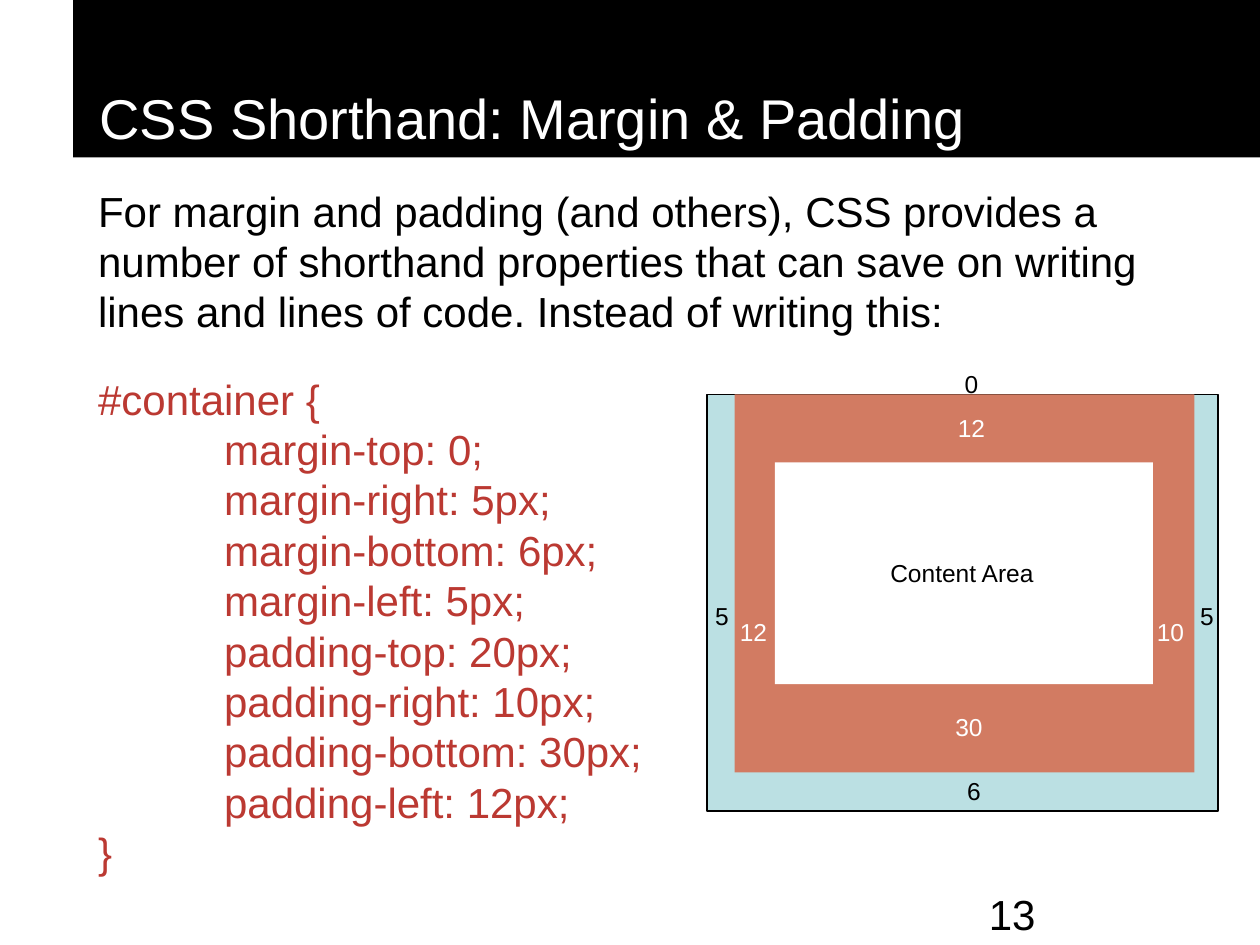
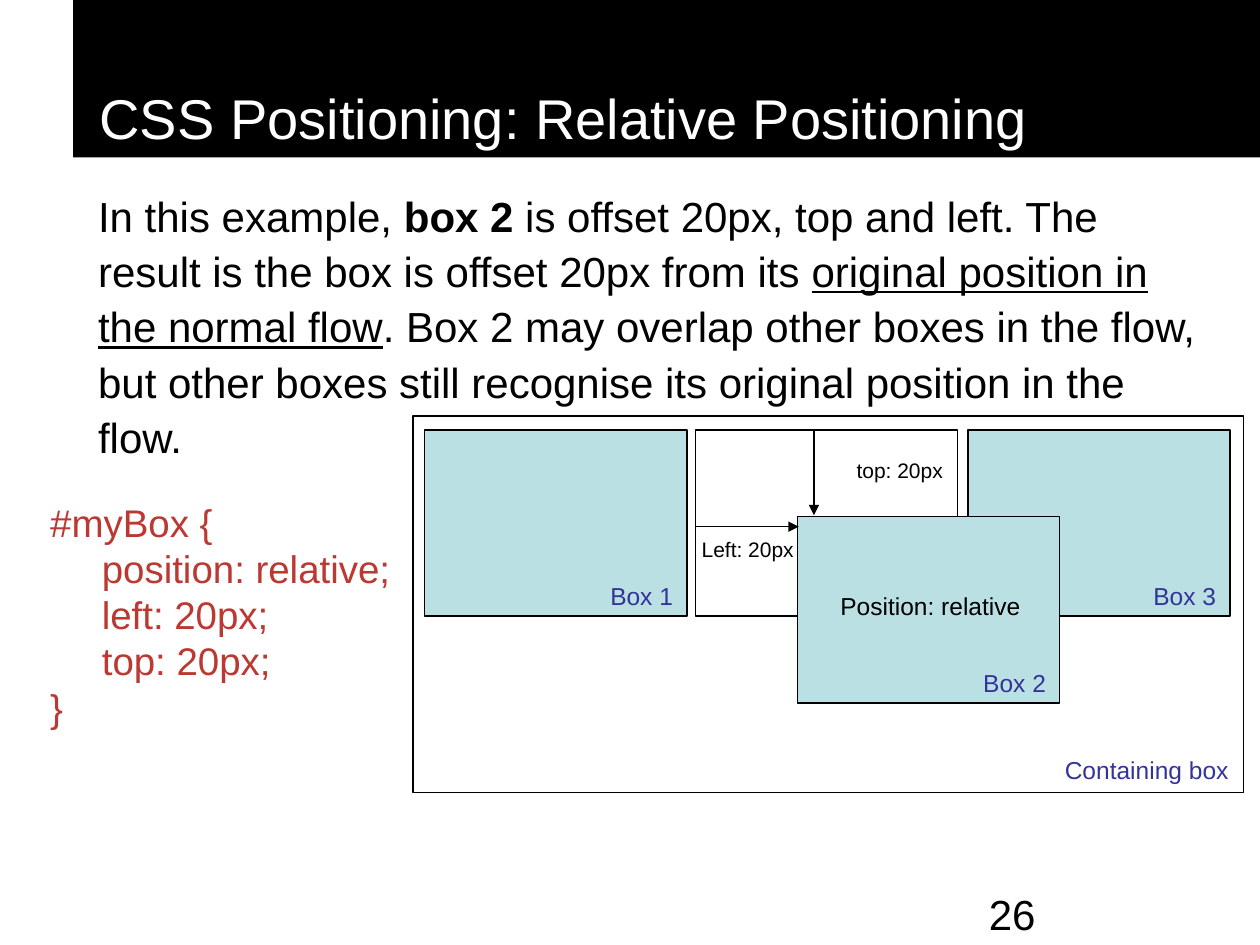
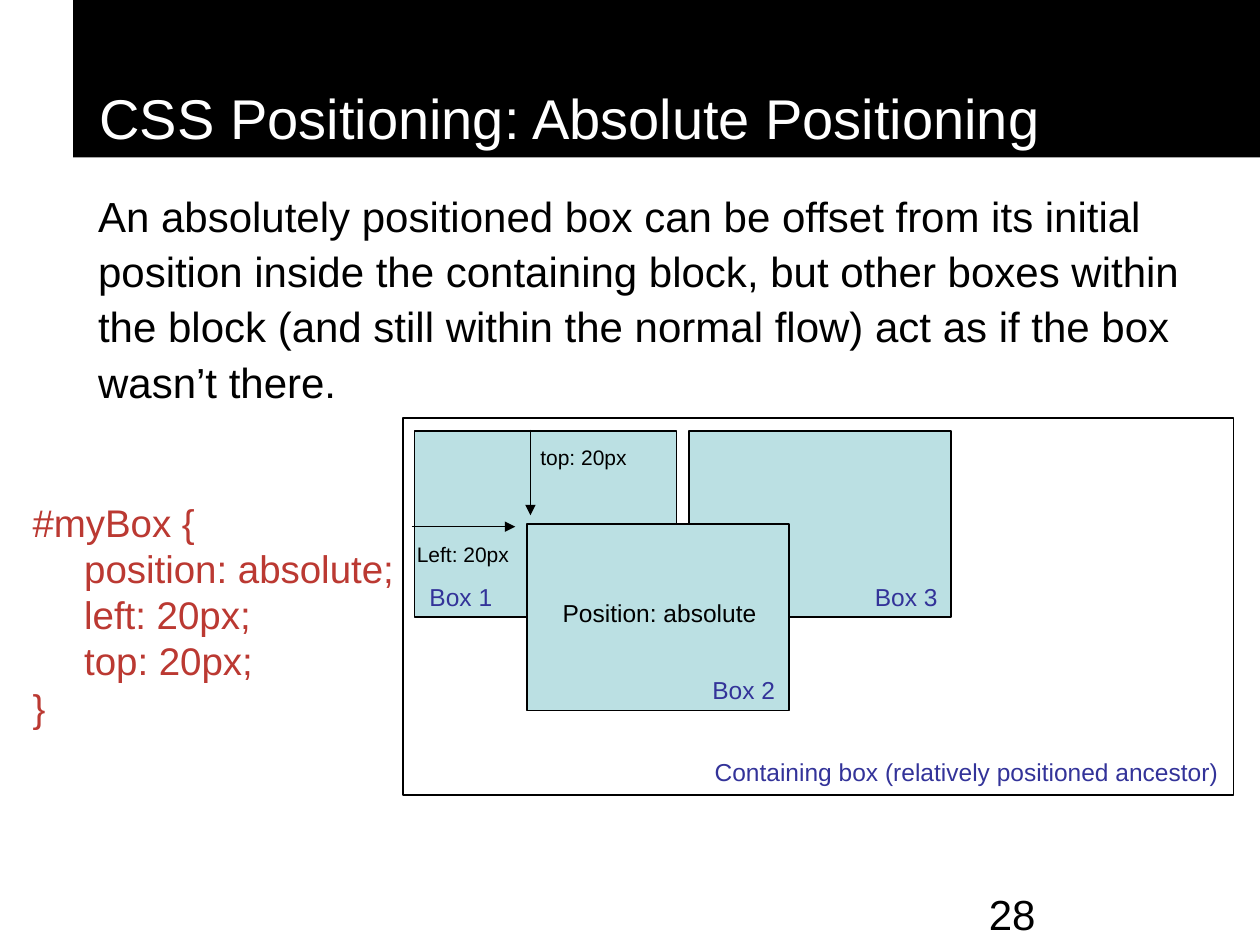
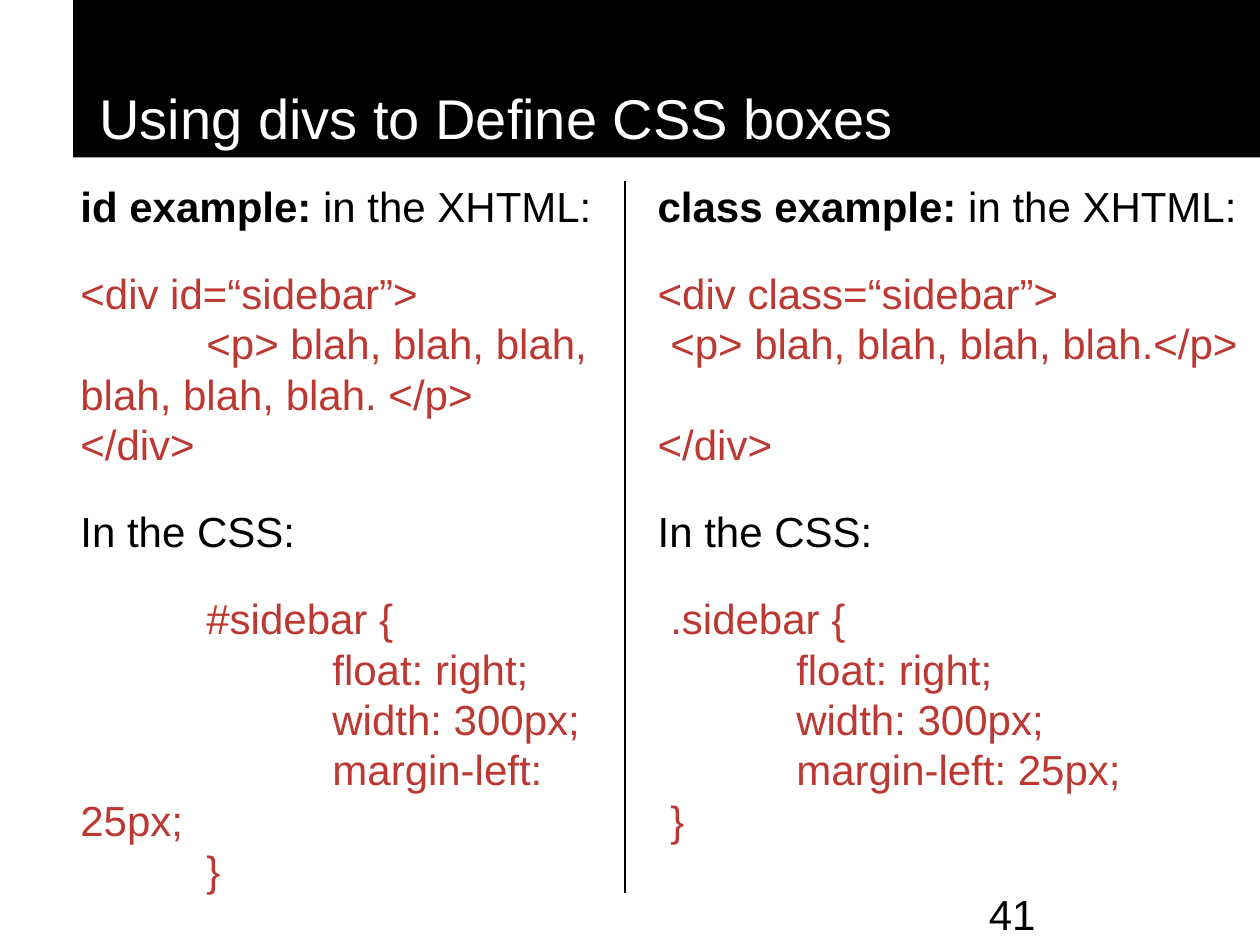
import dataclasses

import lxml.etree
import pptx
import pptx.dml.color
import pptx.enum.shapes
import pptx.enum.text
import pptx.oxml.ns
import pptx.util

Inches = pptx.util.Inches
Pt = pptx.util.Pt
Align = pptx.enum.text.PP_ALIGN
qn = pptx.oxml.ns.qn


@dataclasses.dataclass(frozen=True)
class Theme:
    font: str = "Arial"
    black: str = "000000"
    white: str = "FFFFFF"
    code: str = "BB3932"
    caption: str = "333399"
    box: str = "BBE0E3"
    padding: str = "D27B62"
    title_size: int = 32
    body_size: int = 24
    code_size: int = 22
    label_size: int = 14
    small_size: int = 12
    border: float = 1
    hairline: float = 0.75
    space_ratio: float = 0.625  # space before a paragraph, as a share of its type size
    space_after: int = 6


THEME = Theme()
TEXT_INSET = 0.1
BODY_INDENT = 0.1
BOX_WIDTH, BOX_HEIGHT = 2.08, 1.48
LABEL_HEIGHT = 0.34


@dataclasses.dataclass(frozen=True)
class Span:
    text: str
    color: str = THEME.black
    bold: bool = False
    underline: bool = False


def code(text):
    return [Span(text, THEME.code)]


def rgb(color):
    return pptx.dml.color.RGBColor.from_string(color)


def style_run(run, size, span):
    run.font.name = THEME.font
    run.font.size = Pt(size)
    run.font.bold = span.bold
    run.font.underline = span.underline
    run.font.color.rgb = rgb(span.color)


def fill_paragraph(para, spans, size):
    """Write the spans, turning each newline into a line break of the same size."""
    for span in spans:
        for number, line in enumerate(span.text.split("\n")):
            if number:
                para.add_line_break()
            if line:
                run = para.add_run()
                run.text = line
                style_run(run, size, span)
    for line_break in para._p.findall(qn("a:br")):
        lxml.etree.SubElement(line_break, qn("a:rPr")).set("sz", str(size * 100))


def set_tabs(para, tab_step, tab_stops):
    """Set the regular tab distance and, before it applies, any single stops."""
    properties = para._p.get_or_add_pPr()
    properties.set("defTabSz", str(Inches(tab_step)))
    if tab_stops:
        tab_list = lxml.etree.SubElement(properties, qn("a:tabLst"))
        for position in tab_stops:
            tab = lxml.etree.SubElement(tab_list, qn("a:tab"))
            tab.set("pos", str(Inches(position)))
            tab.set("algn", "l")


def set_indent(para, indent):
    para._p.get_or_add_pPr().set("marL", str(Inches(indent)))


def add_text(slide, at, paragraphs, size, align=Align.LEFT, indent=0, tab_step=1,
             tab_stops=(), line_spacing=None, before=None, after=0):
    """Add a text box; paragraphs is a list of lists of spans."""
    frame = slide.shapes.add_textbox(*map(Inches, at)).text_frame
    frame.word_wrap = True
    if tab_stops:  # single stops hold only in paragraphs without a left margin
        frame.margin_left = Inches(TEXT_INSET + indent)
    for number, spans in enumerate(paragraphs):
        para = frame.add_paragraph() if number else frame.paragraphs[0]
        para.alignment = align
        para.line_spacing = line_spacing
        para.space_before = Pt(size * THEME.space_ratio if before is None else before)
        para.space_after = Pt(after)
        if indent and not tab_stops:
            set_indent(para, indent)
        set_tabs(para, tab_step, tab_stops)
        fill_paragraph(para, spans, size)


def add_body(slide, at, paragraphs, tab_stops=(), line_spacing=None):
    add_text(slide, at, paragraphs, THEME.body_size, indent=BODY_INDENT,
             tab_stops=tab_stops, line_spacing=line_spacing, after=THEME.space_after)


def add_label(slide, left, top, width, text, color=THEME.black, align=Align.CENTER,
              size=THEME.label_size):
    add_text(slide, (left, top, width, LABEL_HEIGHT), [[Span(text, color)]], size, align)


def add_offset_label(slide, left, top, text):
    add_label(slide, left, top, 1.11, text, align=Align.LEFT, size=THEME.small_size)


def add_rectangle(slide, at, fill=None, border=True):
    box = slide.shapes.add_shape(
        pptx.enum.shapes.MSO_SHAPE.RECTANGLE, *map(Inches, at))
    box.shadow.inherit = False
    if fill:
        box.fill.solid()
        box.fill.fore_color.rgb = rgb(fill)
    else:
        box.fill.background()
    if border:
        box.line.color.rgb = rgb(THEME.black)
        box.line.width = Pt(THEME.border)
    else:
        box.line.fill.background()


def add_line(slide, start, end, arrow=False):
    line = slide.shapes.add_connector(
        pptx.enum.shapes.MSO_CONNECTOR.STRAIGHT, *map(Inches, start + end))
    line.line.color.rgb = rgb(THEME.black)
    line.line.width = Pt(THEME.hairline)
    if arrow:
        tail = lxml.etree.SubElement(line.line._get_or_add_ln(), qn("a:tailEnd"))
        tail.set("type", "triangle")
    lxml.etree.SubElement(line._element.spPr, qn("a:effectLst"))


def add_flow_box(slide, left, top, name, align=Align.RIGHT):
    """Add a box with its name along the lower edge."""
    add_rectangle(slide, (left, top, BOX_WIDTH, BOX_HEIGHT), THEME.box)
    add_label(slide, left + 0.02, top + 1.15, 2.05, name, THEME.caption, align)


def add_moved_box(slide, left, top, position):
    add_flow_box(slide, left, top, "Box 2")
    add_label(slide, left + 0.03, top + 0.54, 2.05, f"Position: {position}")


def add_containing_box(slide, left, top, name):
    width, height = 6.59, 2.99
    add_rectangle(slide, (left, top, width, height))
    add_label(slide, left + 0.01, top + height - 0.35, 6.56, name,
              THEME.caption, Align.RIGHT)


def add_offset_arrows(slide, x):
    """Add the downward arrow at x and the rightward arrow to its left."""
    add_line(slide, (x, 3.41), (x, 4.09), arrow=True)
    add_line(slide, (x - 0.94, 4.18), (x - 0.12, 4.18), arrow=True)


def add_position_rule(slide, left, position):
    rule = f"#myBox {{\n\tposition: {position};\n\tleft: 20px;\n\ttop: 20px;\n}}"
    add_text(slide, (left, 3.91, 3.12, 1.94), [code(rule)], THEME.code_size,
             tab_step=0.41)


def add_slide(deck, title, page_number):
    slide = deck.slides.add_slide(deck.slide_layouts.get_by_name("Title Only"))
    band = slide.shapes.title
    band.left, band.top = Inches(0.58), Inches(0)
    band.width, band.height = Inches(9.42), Inches(1.25)
    band.fill.solid()
    band.fill.fore_color.rgb = rgb(THEME.black)
    frame = band.text_frame
    frame.text = title
    frame.auto_size = pptx.enum.text.MSO_AUTO_SIZE.NONE
    frame.vertical_anchor = pptx.enum.text.MSO_ANCHOR.BOTTOM
    para = frame.paragraphs[0]
    para.alignment = Align.LEFT
    set_indent(para, 0.11)
    style_run(para.runs[0], THEME.title_size, Span(title, THEME.white))
    add_text(slide, (7.75, 7, 2.08, 0.5), [[Span(str(page_number))]],
             THEME.body_size, before=0)
    return slide


def build_shorthand(deck):
    slide = add_slide(deck, "CSS Shorthand: Margin & Padding", 13)
    add_body(slide, (0.58, 1.42, 9.08, 5.65), [
        [Span("For margin and padding (and others), CSS provides a number of shorthand "
              "properties that can save on writing lines and lines of code. "
              "Instead of writing this:")],
        code("#container {\n\tmargin-top: 0;\n\tmargin-right: 5px;\n"
             "\tmargin-bottom: 6px;\n\tmargin-left: 5px;\n\tpadding-top: 20px;\n"
             "\tpadding-right: 10px;\n\tpadding-bottom: 30px;\n"
             "\tpadding-left: 12px;\n}"),
    ])
    add_rectangle(slide, (5.61, 3.13, 4.06, 3.31), THEME.box)
    add_rectangle(slide, (5.83, 3.13, 3.65, 3), THEME.padding, border=False)
    add_rectangle(slide, (6.15, 3.67, 3, 1.76), THEME.white, border=False)
    add_label(slide, 6.46, 4.38, 2.35, "Content Area")
    margins = [(7.26, 6.11, "6"), (5.26, 4.72, "5"), (9.11, 4.72, "5"), (7.24, 2.88, "0")]
    paddings = [(5.51, 4.85, "12"), (8.82, 4.85, "10"), (7.22, 5.6, "30"),
                (7.24, 3.23, "12")]
    for labels, color in ((margins, THEME.black), (paddings, THEME.white)):
        for left, top, value in labels:
            add_label(slide, left, top, 0.94, value, color)


def build_relative(deck):
    slide = add_slide(deck, "CSS Positioning: Relative Positioning", 26)
    add_body(slide, (0.58, 1.42, 9.08, 3.1), [[
        Span("In this example, "),
        Span("box 2", bold=True),
        Span(" is offset 20px, top and left. The result is the box is offset 20px "
             "from its "),
        Span("original position in the normal flow", underline=True),
        Span(". Box 2 may overlap other boxes in the flow, but other boxes still "
             "recognise its original position in the flow."),
    ]], line_spacing=1.1)
    row_top = 3.41
    add_flow_box(slide, 3.37, row_top, "Box 1")
    add_rectangle(slide, (5.52, row_top, BOX_WIDTH, BOX_HEIGHT))
    add_offset_label(slide, 5.47, 4.21, "Left: 20px")
    add_flow_box(slide, 7.68, row_top, "Box 3")
    add_containing_box(slide, 3.28, 3.3, "Containing box")
    add_offset_label(slide, 6.7, 3.58, "top: 20px")
    add_moved_box(slide, 6.33, 4.1, "relative")
    add_offset_arrows(slide, 6.46)
    add_position_rule(slide, 0.3, "relative")


def build_absolute(deck):
    slide = add_slide(deck, "CSS Positioning: Absolute Positioning", 28)
    add_body(slide, (0.58, 1.42, 9.08, 2.66), [[
        Span("An absolutely positioned box can be offset from its initial position "
             "inside the containing block, but other boxes within the block (and still "
             "within the normal flow) act as if the box wasn’t there."),
    ]], line_spacing=1.1)
    row_top = 3.42
    add_flow_box(slide, 3.29, row_top, "Box 1", Align.LEFT)
    add_offset_label(slide, 3.21, 4.25, "Left: 20px")
    add_flow_box(slide, 5.47, row_top, "Box 3")
    add_containing_box(slide, 3.2, 3.32, "Containing box (relatively positioned ancestor)")
    add_offset_label(slide, 4.19, 3.48, "top: 20px")
    add_moved_box(slide, 4.18, 4.16, "absolute")
    add_offset_arrows(slide, 4.21)
    add_position_rule(slide, 0.16, "absolute")


def add_selector_example(slide, at, kind, markup, selector, tab_stops=()):
    add_body(slide, at, [
        [Span(f"{kind} example:", bold=True), Span(" in the XHTML:")],
        code(f"<div {kind}=“sidebar”>\n\t{markup}\n</div>"),
        [Span("In the CSS:")],
        code(f"\t{selector} {{\n\t\tfloat: right;\n\t\twidth: 300px;\n"
             "\t\tmargin-left: 25px;\n\t}"),
    ], tab_stops)


def build_divs(deck):
    slide = add_slide(deck, "Using divs to Define CSS boxes", 41)
    add_selector_example(slide, (0.44, 1.38, 4.54, 6.09), "id",
                         "<p> blah, blah, blah, blah, blah, blah. </p>", "#sidebar")
    add_selector_example(slide, (5.02, 1.38, 4.93, 6.07), "class",
                         "<p> blah, blah, blah, blah.</p>\n", ".sidebar", (0.1, 1.1))
    add_line(slide, (4.96, 1.44), (4.96, 7.09))


def main():
    deck = pptx.Presentation()
    deck.slide_width, deck.slide_height = Inches(10), Inches(7.5)
    build_shorthand(deck)
    build_relative(deck)
    build_absolute(deck)
    build_divs(deck)
    deck.save("out.pptx")


if __name__ == "__main__":
    main()
